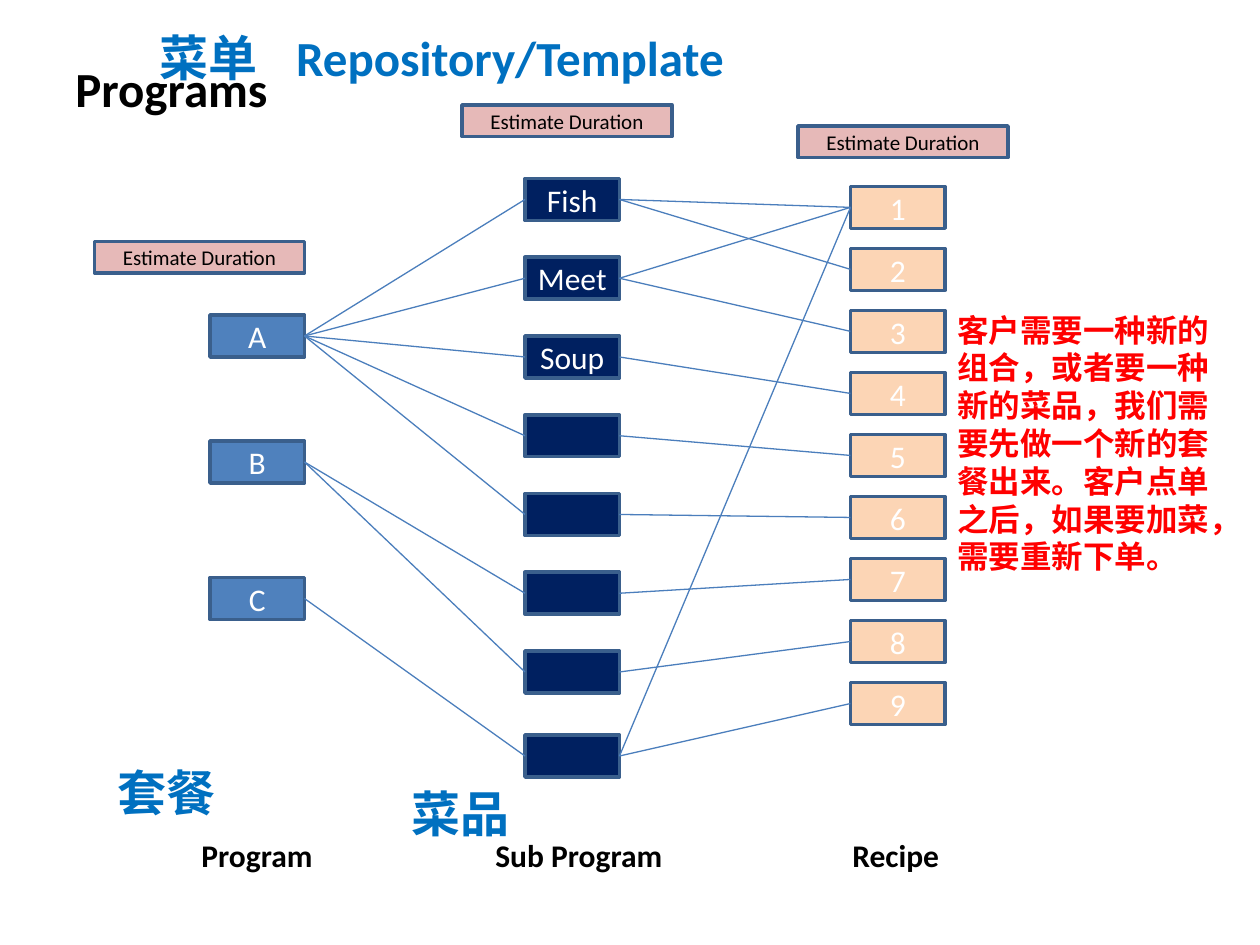
"""Build the menu repository slide linking programs, sub programs and recipes."""
from dataclasses import dataclass

import lxml.etree
import pptx
import pptx.dml.color
import pptx.enum.shapes
import pptx.enum.text
import pptx.oxml.ns
import pptx.shapes.autoshape
import pptx.slide
import pptx.text.text
import pptx.util

Pt = pptx.util.Pt
RGBColor = pptx.dml.color.RGBColor
MSO_ANCHOR = pptx.enum.text.MSO_ANCHOR
PP_ALIGN = pptx.enum.text.PP_ALIGN

BLACK = RGBColor(0x00, 0x00, 0x00)
WHITE = RGBColor(0xFF, 0xFF, 0xFF)
RED = RGBColor(0xFF, 0x00, 0x00)
HEADING_BLUE = RGBColor(0x00, 0x70, 0xC0)
PROGRAM_BLUE = RGBColor(0x4F, 0x81, 0xBD)
NAVY = RGBColor(0x00, 0x20, 0x60)
PEACH = RGBColor(0xFC, 0xD5, 0xB5)
PINK = RGBColor(0xE6, 0xB9, 0xB8)
BORDER = RGBColor(0x3A, 0x5F, 0x8C)
LINK = RGBColor(0x4B, 0x7E, 0xBC)
FONT = "Calibri"
LEFT_SITE, RIGHT_SITE = 1, 3


@dataclass(frozen=True)
class Column:
    """A column of equal boxes."""
    left: float
    tops: list[float]
    labels: list[str]
    fill: RGBColor


@dataclass(frozen=True)
class Label:
    """A bold text box."""
    text: str
    left: float
    top: float
    width: float
    height: float
    size: float
    color: RGBColor
    wrap: bool = False


PROGRAMS = Column(120, [180, 252, 330], ["A", "B", "C"], PROGRAM_BLUE)
SUB_PROGRAMS = Column(300, [102 + 45 * i for i in range(7)] + [420],
                      ["Fish", "Meet", "Soup"] + [""] * 5, NAVY)
RECIPES = Column(486, [106.5 + 35.44 * i for i in range(9)],
                 [str(i + 1) for i in range(9)], PEACH)

PROGRAM_LINKS = [(0, 0), (0, 1), (0, 2), (0, 3), (0, 4), (1, 5), (1, 6), (2, 7)]
RECIPE_LINKS = [(0, 0), (0, 1), (1, 0), (1, 2), (2, 3), (3, 4), (4, 5),
                (5, 6), (6, 7), (7, 0), (7, 8)]
DURATION_SPOTS = [(54, 138), (264, 60), (456, 72)]

TITLE = Label("Repository/Template", 162, 12, 261.5, 41.2, 28, HEADING_BLUE)
LABELS = [
    Label("Programs", 36, 30, 125.3, 41.2, 28, BLACK),
    Label("Program", 108, 474, 78.5, 29, 18, BLACK),
    Label("Sub Program", 276, 474, 110.9, 29, 18, BLACK),
    Label("Recipe", 480, 474, 64, 29, 18, BLACK),
    Label("套餐", 60, 432, 71, 41.2, 28, HEADING_BLUE),
    Label("菜品", 228, 444, 71, 41.2, 28, HEADING_BLUE),
    Label("菜单", 84, 12, 71, 41.2, 28, HEADING_BLUE),
    Label("客户需要一种新的组合，或者要一种新的菜品，我们需要先做一个新的套餐出来。"
          "客户点单之后，如果要加菜，需要重新下单。",
          540, 174, 162, 160, 18, RED, True),
]


def write(tf: pptx.text.text.TextFrame, text: str, size: float, color: RGBColor,
          align: PP_ALIGN, bold: bool = False) -> None:
    """Add one formatted run to the first paragraph."""
    p = tf.paragraphs[0]
    p.alignment = align
    r = p.add_run()
    r.text = text
    r.font.name = FONT
    r.font.size = Pt(size)
    r.font.bold = bold
    r.font.color.rgb = color


def add_box(s: pptx.slide.Slide, left: float, top: float, width: float, height: float,
            fill: RGBColor, text: str, size: float,
            color: RGBColor) -> pptx.shapes.autoshape.Shape:
    """Draw a bordered rectangle with centred text."""
    sp = s.shapes.add_shape(pptx.enum.shapes.MSO_SHAPE.RECTANGLE,
                            Pt(left), Pt(top), Pt(width), Pt(height))
    sp.shadow.inherit = False
    sp.fill.solid()
    sp.fill.fore_color.rgb = fill
    sp.line.color.rgb = BORDER
    sp.line.width = Pt(2)
    sp.text_frame.vertical_anchor = MSO_ANCHOR.MIDDLE
    if text:
        write(sp.text_frame, text, size, color, PP_ALIGN.CENTER)
    return sp


def add_column(s: pptx.slide.Slide, column: Column) -> list[pptx.shapes.autoshape.Shape]:
    """Draw every box of a column."""
    return [add_box(s, column.left, top, 54, 24, column.fill, text, 18, WHITE)
            for top, text in zip(column.tops, column.labels)]


def add_links(s: pptx.slide.Slide, sources: list[pptx.shapes.autoshape.Shape],
              targets: list[pptx.shapes.autoshape.Shape],
              links: list[tuple[int, int]]) -> None:
    """Join target boxes back to their source boxes."""
    for source, target in links:
        line = s.shapes.add_connector(pptx.enum.shapes.MSO_CONNECTOR.STRAIGHT, 0, 0, 0, 0)
        line.begin_connect(targets[target], LEFT_SITE)
        line.end_connect(sources[source], RIGHT_SITE)
        line.line.color.rgb = LINK
        line.line.width = Pt(0.75)
        lxml.etree.SubElement(line._element.spPr, pptx.oxml.ns.qn("a:effectLst"))


def fill_label(sp: pptx.shapes.autoshape.Shape, label: Label) -> None:
    """Place and write a label."""
    sp.left, sp.top = Pt(label.left), Pt(label.top)
    sp.width, sp.height = Pt(label.width), Pt(label.height)
    tf = sp.text_frame
    tf.word_wrap = label.wrap
    tf.auto_size = pptx.enum.text.MSO_AUTO_SIZE.SHAPE_TO_FIT_TEXT
    tf.vertical_anchor = MSO_ANCHOR.TOP
    write(tf, label.text, label.size, label.color, PP_ALIGN.LEFT, True)


def main() -> None:
    """Build and save the presentation."""
    prs = pptx.Presentation()
    prs.slide_width, prs.slide_height = Pt(720), Pt(540)
    s = prs.slides.add_slide(prs.slide_layouts.get_by_name("Title Only"))
    fill_label(s.shapes.title, TITLE)
    programs, sub_programs, recipes = (
        add_column(s, column) for column in (PROGRAMS, SUB_PROGRAMS, RECIPES))
    add_links(s, sub_programs, recipes, RECIPE_LINKS)
    add_links(s, programs, sub_programs, PROGRAM_LINKS)
    for left, top in DURATION_SPOTS:
        add_box(s, left, top, 120, 18, PINK, "Estimate Duration", 12, BLACK)
    for label in LABELS:
        fill_label(s.shapes.add_textbox(0, 0, 0, 0), label)
    prs.save("out.pptx")


main()
